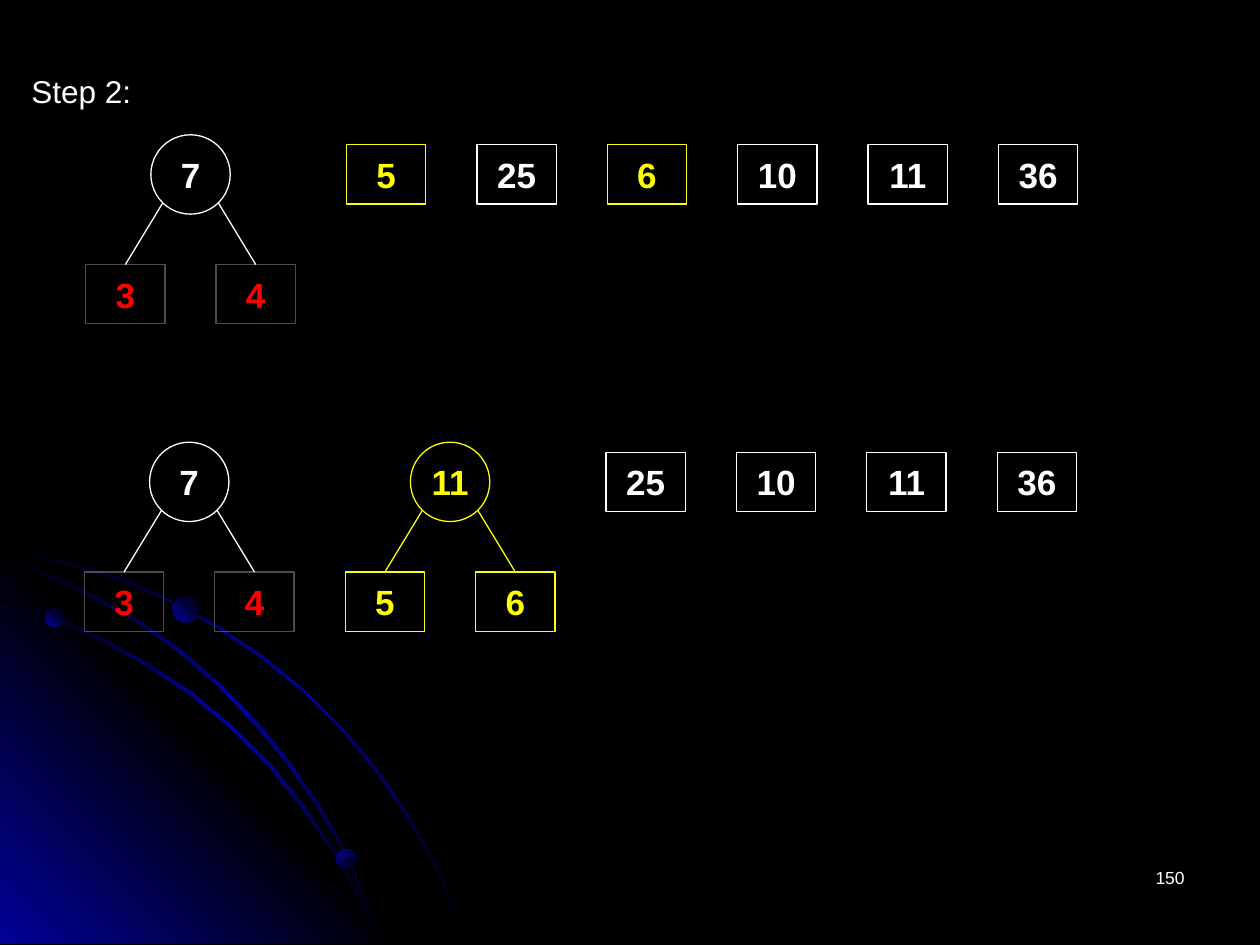
from lxml.etree import SubElement
from pptx import Presentation
from pptx.dml.color import RGBColor
from pptx.enum.shapes import MSO_CONNECTOR as Connector, MSO_SHAPE as Shape
from pptx.enum.text import MSO_ANCHOR as Anchor, MSO_AUTO_SIZE as AutoSize, PP_ALIGN as Align
from pptx.oxml.ns import qn
from pptx.util import Inches, Pt

COLORS = {"black": "000000", "blue": "010199", "white": "FFFFFF",
          "yellow": "FFFF00", "red": "FF0000", "gray": "4D4D4D"}

# Spacing of the nodes, in inches
STEP, NODE_W, NODE_H, CIRCLE = 1.035, 0.63, 0.47, 0.63

# Swooping ribbons: closed outlines in inches
OUTER_RIBBON = [
    (0.57, 4.47), (0.28, 4.41), (0, 4.35), (0, 4.38), (0.28, 4.43), (0.56, 4.49),
    (0.97, 4.61), (1.35, 4.78), (1.73, 4.99), (2.08, 5.23), (2.41, 5.49), (2.71, 5.79),
    (2.98, 6.12), (3.23, 6.49), (3.37, 6.73), (3.5, 6.98), (3.6, 7.23), (3.7, 7.49),
    (3.72, 7.49), (3.62, 7.23), (3.52, 6.98), (3.39, 6.73), (3.25, 6.48), (3, 6.11),
    (2.72, 5.78), (2.42, 5.48), (2.09, 5.21), (1.74, 4.97), (1.36, 4.77), (0.98, 4.59)]
INNER_RIBBON = [
    (2.85, 7.14), (2.94, 7.32), (3.01, 7.49), (3.03, 7.49), (2.96, 7.3), (2.86, 7.12),
    (2.66, 6.76), (2.42, 6.4), (2.15, 6.06), (1.84, 5.76), (1.52, 5.49), (1.17, 5.26),
    (0.79, 5.05), (0.41, 4.88), (0, 4.75), (0, 4.77), (0.39, 4.9), (0.77, 5.07),
    (1.15, 5.28), (1.5, 5.51), (1.83, 5.78), (2.13, 6.08), (2.4, 6.42), (2.65, 6.77)]
MIDDLE_RIBBON = [
    (0, 4.42), (0, 4.44), (0.36, 4.57), (0.74, 4.75), (1.09, 4.94), (1.42, 5.18),
    (1.73, 5.44), (2.02, 5.75), (2.27, 6.05), (2.52, 6.41), (2.67, 6.67), (2.8, 6.94),
    (2.92, 7.22), (3.01, 7.49), (3.03, 7.49), (2.94, 7.2), (2.82, 6.93), (2.69, 6.65),
    (2.54, 6.39), (2.29, 6.03), (2.04, 5.73), (1.75, 5.43), (1.44, 5.16), (1.11, 4.93),
    (0.76, 4.73), (0.39, 4.55)]
CORNER = [(3.22, 7.49), (0, 7.49), (0, 4.27)]


def rgb(name):
    return RGBColor.from_string(COLORS[name])


class SlideBuilder:
    """Holds the style and the current slide."""
    font = "Arial"
    line_width = Pt(0.75)

    def __init__(self, page):
        self.page = page
        self.shapes = page.shapes

    def background(self, color):
        fill = self.page.background.fill
        fill.solid()
        fill.fore_color.rgb = rgb(color)

    def gradient(self, shape, stops, angle):
        """Fill with evenly spaced colours; the angle runs clockwise."""
        shape.shadow.inherit = False
        shape.line.fill.background()
        shape.fill.gradient()
        shape.fill.gradient_angle = 360 - angle
        stop_list = shape._element.spPr.find(".//" + qn("a:gsLst"))
        for old_stop in list(stop_list):
            stop_list.remove(old_stop)
        for index, color in enumerate(stops):
            position = str(100000 * index // (len(stops) - 1))
            stop = SubElement(stop_list, qn("a:gs"), pos=position)
            SubElement(stop, qn("a:srgbClr"), val=COLORS[color])

    def outline(self, points, stops, angle):
        start, *rest = [(Inches(x), Inches(y)) for x, y in points]
        builder = self.shapes.build_freeform(*start)
        builder.add_line_segments(rest, close=True)
        self.gradient(builder.convert_to_shape(), stops, angle)

    def bead(self, left, top, size, angle):
        bead = self.shapes.add_shape(Shape.OVAL, Inches(left), Inches(top),
                                     Inches(size), Inches(size))
        self.gradient(bead, ("blue", "black"), angle)

    def add_text(self, box, text, color, size, bold=False, align=Align.CENTER):
        para = box.text_frame.paragraphs[0]
        para.alignment = align
        span = para.add_run()
        span.text = text
        span.font.color.rgb = rgb(color)
        style = {"name": self.font, "size": Pt(size), "bold": bold}
        for key, value in style.items():
            setattr(span.font, key, value)

    def label(self, text, left, top, width, height, size, align=Align.CENTER, wrap=True):
        box = self.shapes.add_textbox(Inches(left), Inches(top), Inches(width), Inches(height))
        box.text_frame.word_wrap = wrap
        if not wrap:
            box.text_frame.auto_size = AutoSize.SHAPE_TO_FIT_TEXT
        self.add_text(box, text, "white", size, align=align)

    def node(self, text, left, top, color, border=None, kind=Shape.RECTANGLE):
        height = CIRCLE if kind == Shape.OVAL else NODE_H
        box = self.shapes.add_shape(kind, Inches(left), Inches(top),
                                    Inches(NODE_W), Inches(height))
        box.shadow.inherit = False
        box.fill.background()
        box.line.color.rgb = rgb(border or color)
        box.line.width = self.line_width
        box.text_frame.word_wrap = False
        box.text_frame.vertical_anchor = Anchor.MIDDLE
        self.add_text(box, text, color, 20, bold=True)
        return box

    def branch(self, x, y, leaf, color):
        line = self.shapes.add_connector(Connector.STRAIGHT, Inches(x), Inches(y),
                                         leaf.left, leaf.top)
        line.end_connect(leaf, 0)
        line.line.color.rgb = rgb(color)
        line.line.width = self.line_width
        SubElement(line._element.spPr, qn("a:effectLst"))

    def tree(self, root, leaves, left, leaf_top, color, leaf_color, leaf_border):
        """A round root above two square leaves."""
        root_left, root_top = left + STEP / 2, leaf_top - 1.03
        self.node(root, root_left, root_top, color, kind=Shape.OVAL)
        center = root_left + CIRCLE / 2
        for index, text in enumerate(leaves):
            leaf = self.node(text, left + index * STEP, leaf_top, leaf_color, leaf_border)
            side = 2 * index - 1
            self.branch(center + side * 0.22, root_top + 0.54, leaf, color)

    def row(self, items, left, top):
        for index, (text, color) in enumerate(items):
            self.node(text, left + index * STEP, top, color)


def main():
    deck = Presentation()
    deck.slide_width, deck.slide_height = Inches(10), Inches(7.5)
    slide = SlideBuilder(deck.slides.add_slide(deck.slide_layouts[6]))

    # Backdrop
    slide.background("black")
    ribbon_stops = ("black", "blue", "black")
    slide.outline(OUTER_RIBBON, ribbon_stops, 45)
    slide.outline(CORNER, ("blue", "black", "blue"), 315)
    for ribbon in (INNER_RIBBON, MIDDLE_RIBBON):
        slide.outline(ribbon, ribbon_stops, 45)
    for bead in ((0.36, 4.83, 0.15, 315), (2.67, 6.74, 0.16, 45), (1.37, 4.73, 0.21, 315)):
        slide.bead(*bead)

    slide.label("Step 2:", 0.15, 0.52, 0.99, 0.4, 18, wrap=False)

    # Both stages start with the first merged tree
    upper, lower = (0.68, 2.1), (0.67, 4.54)
    for left, leaf_top in (upper, lower):
        slide.tree("7", "34", left, leaf_top, "white", "red", "gray")

    # Before: the two smallest weights are highlighted
    left, leaf_top = upper
    slide.row([("5", "yellow"), ("25", "white"), ("6", "yellow"), ("10", "white"),
               ("11", "white"), ("36", "white")], left + 2 * STEP, leaf_top - 0.95)

    # After: they are merged into a second tree
    left, leaf_top = lower
    slide.tree("11", "56", left + 2 * STEP, leaf_top, "yellow", "yellow", "yellow")
    slide.row([(text, "white") for text in ("25", "10", "11", "36")],
              left + 4 * STEP, leaf_top - 0.95)

    # Page number
    slide.label("150", 7.17, 6.83, 2.33, 0.5, 10, align=Align.RIGHT)

    deck.save("out.pptx")


if __name__ == "__main__":
    main()
